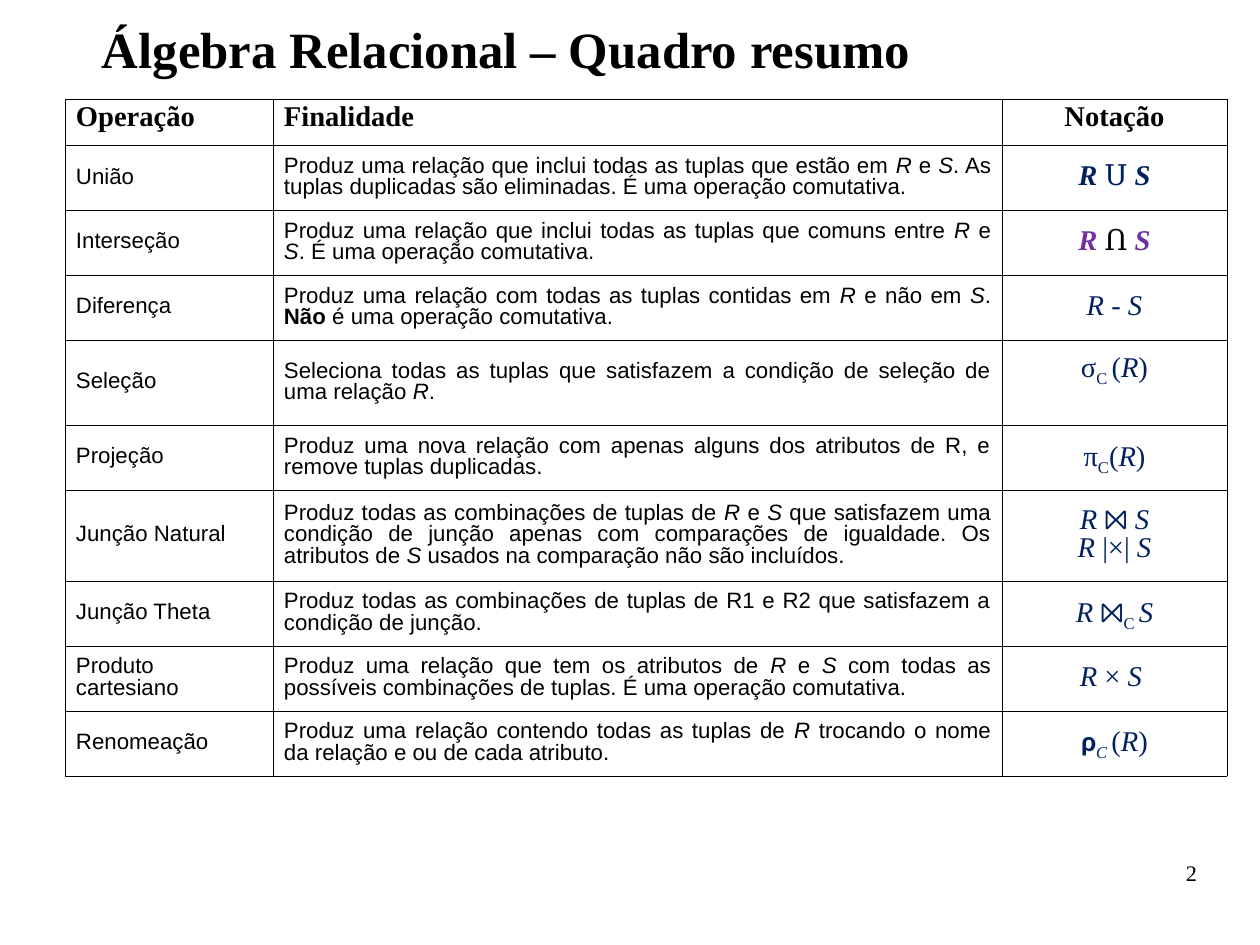
from pptx import Presentation
from pptx import util as u
from pptx.dml.color import RGBColor
from pptx.enum import text
from pptx.oxml import parse_xml
from pptx.oxml.ns import nsdecls

PX = 8000  # EMU per px
SERIF, SANS = "Times New Roman", "Arial"
BLACK, NAVY, PURPLE = "000000", "002060", "7030A0"
LEFT, CENTER = text.PP_ALIGN.LEFT, text.PP_ALIGN.CENTER
RIGHT, JUSTIFY = text.PP_ALIGN.RIGHT, text.PP_ALIGN.JUSTIFY

# Each mark switches its style on and off inside a text
MARKS = {
    "*": {"italic": True},
    "^": {"bold": True},
    "_": {"sub": True},
    "#": {"color": BLACK},
    "@": {"font": "Calibri"},
}

TITLE = "Álgebra Relacional – Quadro resumo"
PAGE = "2"
HEADERS = ["Operação", "Finalidade", "Notação"]
# operation, purpose, notation
OPERATIONS = [
    ("União",
     "Produz uma relação que inclui todas as tuplas que estão em *R* e *S*. "
     "As tuplas duplicadas são eliminadas. É uma operação comutativa.",
     "^*R *^Ս ^*S*^"),
    ("Interseção",
     "Produz uma relação que inclui todas as tuplas que comuns entre *R* e *S*. "
     "É uma operação comutativa.",
     "^*R *^#Ո #^*S*^"),
    ("Diferença",
     "Produz uma relação com todas as tuplas contidas em *R* e não em *S*. "
     "^Não^ é uma operação comutativa.",
     "*R* - *S*"),
    ("Seleção",
     "Seleciona todas as tuplas que satisfazem a condição de seleção de "
     "uma relação *R*.",
     "σ_C _(*R*)"),
    ("Projeção",
     "Produz uma nova relação com apenas alguns dos atributos de R, e "
     "remove tuplas duplicadas.",
     "π_C_(*R*)"),
    ("Junção Natural",
     "Produz todas as combinações de tuplas de *R* e *S* que satisfazem uma "
     "condição de junção apenas com comparações de igualdade. "
     "Os atributos de *S* usados na comparação não são incluídos.",
     "*R *⨝ *S*\n*R *|×| *S*"),
    ("Junção Theta",
     "Produz todas as combinações de tuplas de R1 e R2 que satisfazem a "
     "condição de junção.",
     "*R* ⨝_C _*S*"),
    ("Produto cartesiano",
     "Produz uma relação que tem os atributos de *R* e *S* com todas as "
     "possíveis combinações de tuplas. É uma operação comutativa.",
     "*R* × *S *"),
    ("Renomeação",
     "Produz uma relação contendo todas as tuplas de *R* trocando o nome "
     "da relação e ou de cada atributo.",
     "@^ρ^@*_C _*(*R*)"),
]
NOTATION_COLORS = {"Interseção": PURPLE}
NOTATION_SPACING = {"Renomeação": 0.69}
NOTATION_BOTTOM = {"Seleção": 35}

TABLE_AT = (65, 99)
COLUMNS = [208, 729, 225]
HEADER_HEIGHT, ROW_HEIGHT = 46, 65
TALL_ROWS = {"Seleção": 85, "Junção Natural": 91}
MARGIN_X, MARGIN_Y = 11, 6


def px(n):
    return u.Emu(n * PX)


def rgb(color):
    return RGBColor.from_string(color)


def split_marks(line):
    """Yield (words, active marks) for each stretch of equal style."""
    active, words = set(), ""
    for ch in line:
        if ch in MARKS:
            if words:
                yield words, active
            active, words = active ^ {ch}, ""
        else:
            words += ch
    if words:
        yield words, active


def write(tf, content, size, font, align, spacing, color=BLACK, bold=False):
    tf.word_wrap = True
    for i, line in enumerate(content.split("\n")):
        p = tf.add_paragraph() if i else tf.paragraphs[0]
        p.alignment, p.line_spacing = align, spacing
        p.space_before = p.space_after = u.Pt(0.3)
        for words, marks in split_marks(line):
            style = {"font": font, "color": color, "bold": bold, "italic": False}
            for mark in marks:
                style.update(MARKS[mark])
            r = p.add_run()
            r.text = words
            r.font.name, r.font.size = style["font"], u.Pt(size)
            r.font.bold, r.font.italic = style["bold"], style["italic"]
            r.font.color.rgb = rgb(style["color"])
            if "sub" in style:
                r.font._element.set("baseline", "-25000")


def add_text(slide, box, content, size, align, spacing, bold=False):
    tf = slide.shapes.add_textbox(*map(px, box)).text_frame
    tf.margin_left = tf.margin_right = tf.margin_top = tf.margin_bottom = 0
    write(tf, content, size, SERIF, align, spacing, bold=bold)


def format_cell(cell, anchor, bottom=MARGIN_Y):
    cell.margin_left = cell.margin_right = px(MARGIN_X)
    cell.margin_top, cell.margin_bottom = px(MARGIN_Y), px(bottom)
    cell.vertical_anchor = anchor
    tcPr = cell._tc.get_or_add_tcPr()
    for side in "LRTB":
        tcPr.append(parse_xml(
            f'<a:ln{side} {nsdecls("a")} w="1400"><a:solidFill>'
            f'<a:srgbClr val="{BLACK}"/></a:solidFill></a:ln{side}>'))
    cell.fill.background()


def add_summary(slide):
    heights = [HEADER_HEIGHT] + [TALL_ROWS.get(op[0], ROW_HEIGHT) for op in OPERATIONS]
    box = (*TABLE_AT, sum(COLUMNS), sum(heights))
    table = slide.shapes.add_table(len(heights), len(COLUMNS), *map(px, box)).table
    table.first_row = table.horz_banding = False
    for column, width in zip(table.columns, COLUMNS):
        column.width = px(width)
    for row, height in zip(table.rows, heights):
        row.height = px(height)

    for c, (header, align) in enumerate(zip(HEADERS, (LEFT, LEFT, CENTER))):
        cell = table.cell(0, c)
        format_cell(cell, text.MSO_ANCHOR.TOP)
        write(cell.text_frame, header, 18, SERIF, align, 0.86, bold=True)

    for row, (name, purpose, notation) in enumerate(OPERATIONS, 1):
        cells = [table.cell(row, c) for c in range(len(COLUMNS))]
        bottoms = (MARGIN_Y, MARGIN_Y, NOTATION_BOTTOM.get(name, MARGIN_Y))
        for cell, bottom in zip(cells, bottoms):
            format_cell(cell, text.MSO_ANCHOR.MIDDLE, bottom)
        write(cells[0].text_frame, name, 14, SANS, LEFT, 0.87)
        write(cells[1].text_frame, purpose, 14, SANS, JUSTIFY, 0.87)
        write(cells[2].text_frame, notation, 18, SERIF, CENTER,
              NOTATION_SPACING.get(name, 0.86), NOTATION_COLORS.get(name, NAVY))


def main():
    prs = Presentation()
    prs.slide_width, prs.slide_height = px(1260), px(945)
    slide = prs.slides.add_slide(prs.slide_layouts[6])
    add_text(slide, (102, 23, 1089, 77), TITLE, 32, LEFT, 0.93, bold=True)
    add_text(slide, (903, 861, 294, 65), PAGE, 14, RIGHT, 0.95)
    add_summary(slide)
    prs.save("out.pptx")


if __name__ == "__main__":
    main()
